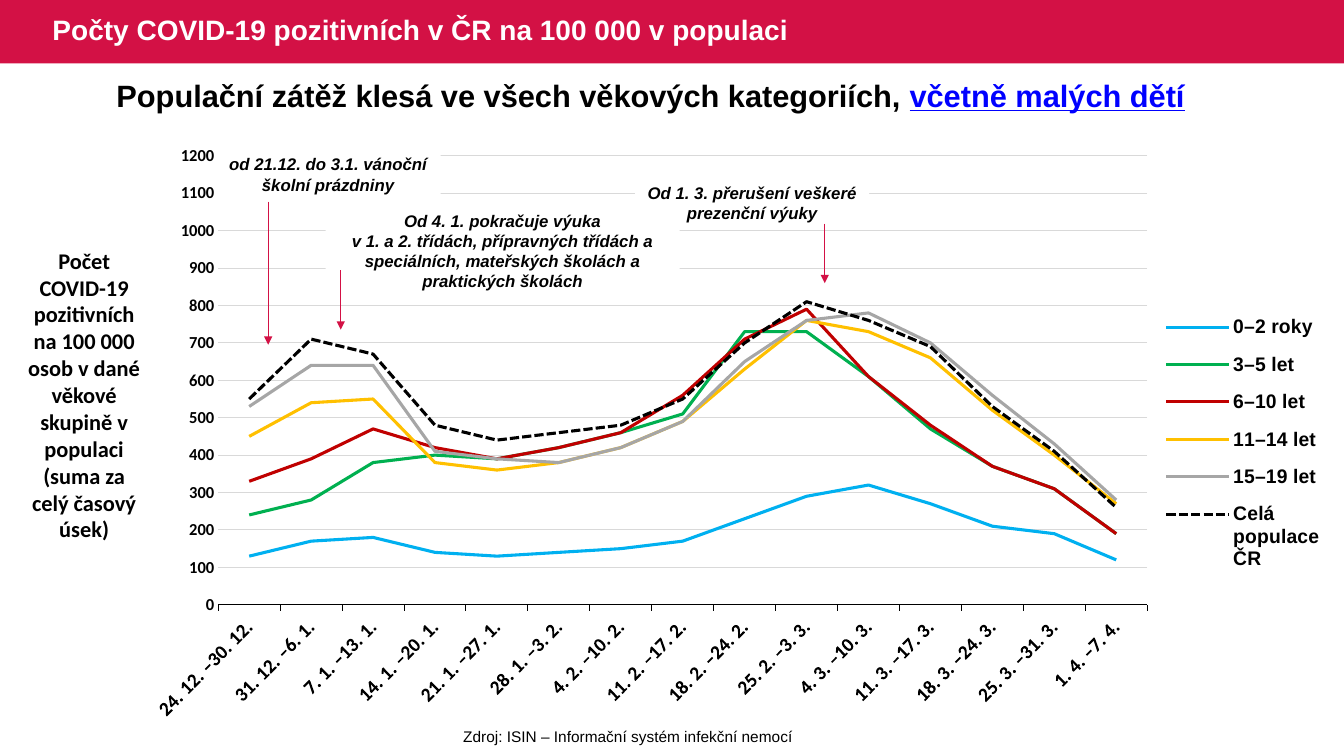
"""Build the slide on COVID-19 positive cases per 100 000 people by age group."""
from lxml import etree
from pptx import Presentation
from pptx.chart.data import CategoryChartData
from pptx.dml.color import RGBColor
from pptx.enum.chart import XL_CHART_TYPE, XL_LEGEND_POSITION, XL_TICK_MARK
from pptx.enum.dml import MSO_LINE
from pptx.enum.shapes import MSO_CONNECTOR, MSO_SHAPE
from pptx.enum.text import MSO_ANCHOR, MSO_AUTO_SIZE, PP_ALIGN
from pptx.oxml.ns import qn
from pptx.util import Inches, Pt

LINE_CHART = XL_CHART_TYPE.LINE
LEGEND_RIGHT = XL_LEGEND_POSITION.RIGHT
TICK_OUTSIDE, TICK_NONE = XL_TICK_MARK.OUTSIDE, XL_TICK_MARK.NONE
SHORT_DASH = MSO_LINE.SQUARE_DOT
STRAIGHT = MSO_CONNECTOR.STRAIGHT
RECTANGLE = MSO_SHAPE.RECTANGLE
MIDDLE, TOP = MSO_ANCHOR.MIDDLE, MSO_ANCHOR.TOP
LEFT, CENTER = PP_ALIGN.LEFT, PP_ALIGN.CENTER
NO_AUTOFIT = MSO_AUTO_SIZE.NONE

COLORS = {
    "crimson": "D31145", "white": "FFFFFF", "black": "000000", "grid": "D9D9D9",
    "link": "0000FF", "sky": "00B0F0", "green": "00B050", "red": "C00000",
    "amber": "FFC000", "gray": "A6A6A6",
}
RGB = {name: RGBColor.from_string(value) for name, value in COLORS.items()}

TITLE_FORMAT = {"size": Pt(20), "name": "Arial", "bold": True}
HEADLINE_FORMAT = {"size": Pt(22), "name": "Arial", "bold": True}
SOURCE_FORMAT = {"size": Pt(11), "name": "Arial", "bold": False}
AXIS_TITLE_FORMAT = {"size": Pt(16), "name": "Calibri", "bold": True}
NOTE_FORMAT = {"size": Pt(12), "name": "Arial", "bold": True, "italic": True}
LEGEND_FORMAT = {"size": Pt(14), "name": "Arial", "bold": True}
CATEGORY_FORMAT = {"size": Pt(14), "name": "Calibri", "bold": True}
VALUE_FORMAT = {"size": Pt(12), "name": "Calibri", "bold": True}


def format_font(font, settings, color="black"):
    for attribute, value in settings.items():
        setattr(font, attribute, value)
    font.color.rgb = RGB[color]


def write_text(shape, lines, settings, color="black", align=CENTER, anchor=TOP):
    frame = shape.text_frame
    frame.word_wrap = True
    frame.auto_size = NO_AUTOFIT
    frame.vertical_anchor = anchor
    frame.text = "\n".join(lines)
    for paragraph in frame.paragraphs:
        paragraph.alignment = align
        for run in paragraph.runs:
            format_font(run.font, settings, color)


presentation = Presentation()
presentation.slide_width = Inches(13.33)
presentation.slide_height = Inches(7.5)
slide = presentation.slides.add_slide(presentation.slide_layouts[5])
shapes = slide.shapes

band = shapes.add_shape(RECTANGLE, 0, 0, Inches(13.33), Inches(0.63))
band.shadow.inherit = False
band.fill.solid()
band.fill.fore_color.rgb = RGB["crimson"]
band.line.fill.background()
band._element.getparent().insert(2, band._element)

title = shapes.title
title.left, title.top, title.width, title.height = Inches(0.42), 0, Inches(8.37), Inches(0.63)
write_text(title, ["Počty COVID-19 pozitivních v ČR na 100 000 v populaci"],
           TITLE_FORMAT, "white", LEFT, MIDDLE)
title.text_frame.paragraphs[0].line_spacing = 0.9

source = shapes.add_textbox(Inches(2.36), Inches(7.16), Inches(7.74), Inches(0.29))
write_text(source, ["Zdroj: ISIN – Informační systém infekční nemocí"], SOURCE_FORMAT)

chart_data = CategoryChartData()
chart_data.categories = [
    "24. 12. –30. 12.", "31. 12. –6. 1.", "7. 1. –13. 1.", "14. 1. –20. 1.",
    "21. 1. –27. 1.", "28. 1. –3. 2.", "4. 2. –10. 2.", "11. 2. –17. 2.",
    "18. 2. –24. 2.", "25. 2. –3. 3.", "4. 3. –10. 3.", "11. 3. –17. 3.",
    "18. 3. –24. 3.", "25. 3. –31. 3.", "1. 4. –7. 4.",
]
AGE_GROUPS = [
    ("0–2 roky", "sky",
     [130, 170, 180, 140, 130, 140, 150, 170, 230, 290, 320, 270, 210, 190, 120]),
    ("3–5 let", "green",
     [240, 280, 380, 400, 390, 420, 460, 510, 730, 730, 610, 470, 370, 310, 190]),
    ("6–10 let", "red",
     [330, 390, 470, 420, 390, 420, 460, 560, 710, 790, 610, 480, 370, 310, 190]),
    ("11–14 let", "amber",
     [450, 540, 550, 380, 360, 380, 420, 490, 630, 760, 730, 660, 520, 400, 270]),
    ("15–19 let", "gray",
     [530, 640, 640, 410, 390, 380, 420, 490, 650, 760, 780, 700, 560, 430, 280]),
    ("Celá populace ČR", "black",
     [550, 710, 670, 480, 440, 460, 480, 550, 700, 810, 760, 690, 530, 410, 260]),
]
for name, color, values in AGE_GROUPS:
    chart_data.add_series(name, values)
chart = shapes.add_chart(LINE_CHART, Inches(1.52), Inches(1.34),
                         Inches(11.66), Inches(5.87), chart_data).chart
chart.has_title = False
format_font(chart.font, LEGEND_FORMAT)
chart.plots[0].vary_by_categories = False
for series, (name, color, values) in zip(chart.plots[0].series, AGE_GROUPS):
    series.smooth = False
    series.format.line.color.rgb = RGB[color]
    series.format.line.width = Pt(2.25)
series.format.line.dash_style = SHORT_DASH

category_axis = chart.category_axis
category_axis.major_tick_mark = TICK_OUTSIDE
category_axis.format.line.color.rgb = RGB["black"]
category_axis.format.line.width = Pt(0.75)
format_font(category_axis.tick_labels.font, CATEGORY_FORMAT)
category_axis._element.find(qn("c:txPr")).find(qn("a:bodyPr")).set("rot", "-2700000")

value_axis = chart.value_axis
value_axis.minimum_scale, value_axis.maximum_scale, value_axis.major_unit = 0, 1200, 100
value_axis.major_tick_mark = TICK_NONE
value_axis.format.line.fill.background()
value_axis.major_gridlines.format.line.color.rgb = RGB["grid"]
value_axis.major_gridlines.format.line.width = Pt(0.75)
format_font(value_axis.tick_labels.font, VALUE_FORMAT)

chart.has_legend = True
legend = chart.legend
legend.position = LEGEND_RIGHT
legend.include_in_layout = False
format_font(legend.font, LEGEND_FORMAT)

plot_area = chart._chartSpace.find(".//" + qn("c:plotArea"))
LAYOUTS = [
    (plot_area, 0, {"layoutTarget": "inner", "xMode": "edge", "yMode": "edge",
                    "x": 0.04, "y": 0.035, "w": 0.803, "h": 0.759}),
    (legend._element, 1, {"xMode": "edge", "yMode": "edge",
                          "x": 0.86, "y": 0.28, "w": 0.14, "h": 0.48}),
]
for parent, position, settings in LAYOUTS:
    for old_layout in parent.findall(qn("c:layout")):
        parent.remove(old_layout)
    layout = etree.Element(qn("c:layout"))
    manual = etree.SubElement(layout, qn("c:manualLayout"))
    for tag, value in settings.items():
        etree.SubElement(manual, qn("c:" + tag)).set("val", str(value))
    parent.insert(position, layout)

axis_title = shapes.add_textbox(Inches(0.15), Inches(2.4), Inches(1.37), Inches(3.06))
write_text(axis_title, ["Počet COVID-19 pozitivních na 100 000 osob v dané věkové skupině "
                        "v populaci (suma za celý časový úsek)"], AXIS_TITLE_FORMAT)

NOTES = [
    (2.14, 1.48, 2.23, 0.5, ["od 21.12. do 3.1. vánoční školní prázdniny"]),
    (6.3, 1.76, 2.32, 0.5, ["Od 1. 3. přerušení veškeré prezenční výuky"]),
    (3.23, 2.04, 3.51, 0.91, ["Od 4. 1. pokračuje výuka",
                              "v 1. a 2. třídách, přípravných třídách a "
                              "speciálních, mateřských školách a praktických školách"]),
]
for left, top, width, height, lines in NOTES:
    note = shapes.add_shape(RECTANGLE, Inches(left), Inches(top), Inches(width), Inches(height))
    note.shadow.inherit = False
    note.fill.solid()
    note.fill.fore_color.rgb = RGB["white"]
    note.line.fill.background()
    write_text(note, lines, NOTE_FORMAT)

for x, start, end in [(2.66, 2, 3.42), (3.38, 2.68, 3.27), (8.18, 2.22, 2.81)]:
    arrow = shapes.add_connector(STRAIGHT, Inches(x), Inches(start), Inches(x), Inches(end))
    arrow.line.color.rgb = RGB["crimson"]
    arrow.line.width = Pt(0.5)
    etree.SubElement(arrow.line._get_or_add_ln(), qn("a:tailEnd")).set("type", "triangle")
    etree.SubElement(arrow._element.spPr, qn("a:effectLst"))

headline = shapes.add_textbox(Inches(0.29), Inches(0.71), Inches(12.41), Inches(0.47))
write_text(headline, ["Populační zátěž klesá ve všech věkových kategoriích, "], HEADLINE_FORMAT)
for text, color, underline in [("včetně malých dětí", "link", True), (" ", "black", False)]:
    run = headline.text_frame.paragraphs[0].add_run()
    run.text = text
    format_font(run.font, {**HEADLINE_FORMAT, "underline": underline}, color)

presentation.save("out.pptx")
